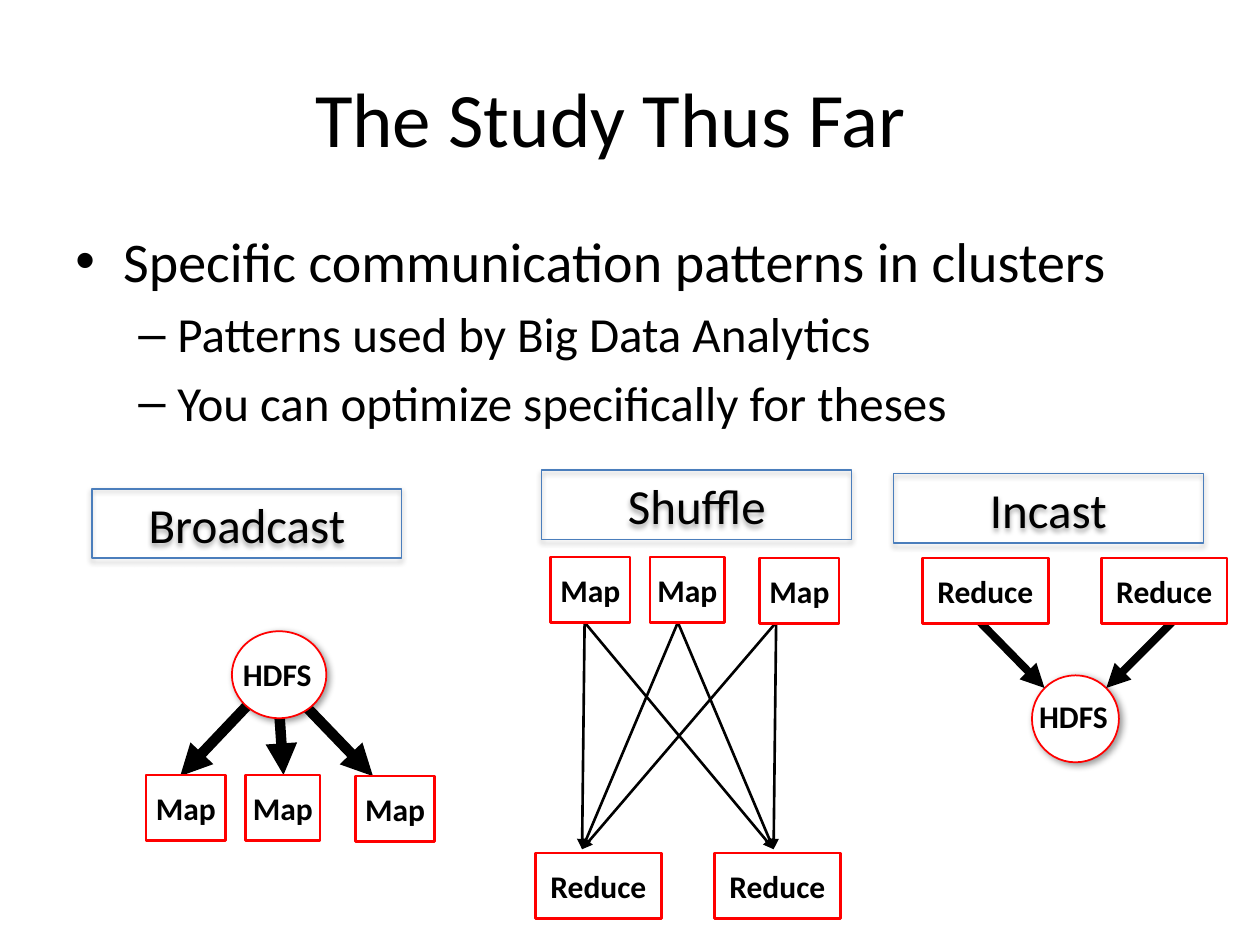
from lxml.etree import SubElement
from pptx import Presentation
from pptx.dml.color import RGBColor
from pptx.enum.shapes import MSO_CONNECTOR, MSO_SHAPE
from pptx.enum.text import MSO_ANCHOR, PP_ALIGN
from pptx.oxml.ns import qn
from pptx.util import Inches, Pt

BLACK, WHITE, RED, BLUE = "000000", "FFFFFF", "FF0000", "4B7EBC"
NODE = {"size": Pt(18), "bold": True}
HEAD = {"size": Pt(28), "bold": False}
FRAME = {"word_wrap": True, "vertical_anchor": MSO_ANCHOR.MIDDLE}
TIGHT = {**FRAME, "margin_left": 0, "margin_right": 0,
         "margin_top": 0, "margin_bottom": 0}
LOOSE = {"word_wrap": False}
SOFT = {"blur": 4, "dist": 2, "angle": 45, "alpha": 40}
DROP = {"blur": 3.1, "dist": 1.8, "angle": 90, "alpha": 35}


def shade(value):
    """Turn a hex string into a colour."""
    return RGBColor.from_string(value)


def apply(target, values):
    """Set each attribute in a dict of format values."""
    for name, value in values.items():
        setattr(target, name, value)


def write(para, text, style):
    """Put black Calibri text in a paragraph."""
    para.text = text
    apply(para.font, {"name": "Calibri", **style})
    para.font.color.rgb = shade(BLACK)


def center(shape, text, style, frame):
    """Fill a shape with one centred line of text."""
    apply(shape.text_frame, frame)
    para = shape.text_frame.paragraphs[0]
    para.alignment = PP_ALIGN.CENTER
    write(para, text, style)


def cast(shape, blur, dist, angle, alpha):
    """Give a shape an outer shadow."""
    effects = shape._element.spPr.find(qn("a:effectLst"))
    outer = SubElement(effects, qn("a:outerShdw"), blurRad=str(Pt(blur)),
                       dist=str(Pt(dist)), dir=str(angle * 60000), rotWithShape="0")
    color = SubElement(outer, qn("a:srgbClr"), val=BLACK)
    SubElement(color, qn("a:alpha"), val=str(alpha * 1000))


def draw(slide, kind, box, fill, line, width):
    """Add an outlined shape, filled if a fill is given."""
    shape = slide.shapes.add_shape(kind, *map(Inches, box))
    shape.shadow.inherit = False
    if fill:
        shape.fill.solid()
        shape.fill.fore_color.rgb = shade(fill)
    else:
        shape.fill.background()
    shape.line.color.rgb = shade(line)
    shape.line.width = Pt(width)
    return shape


def arrow(slide, start, end, width):
    """Add a black line with a triangle at its end."""
    line = slide.shapes.add_connector(
        MSO_CONNECTOR.STRAIGHT, *map(Inches, (*start, *end)))
    line.line.color.rgb = shade(BLACK)
    line.line.width = Pt(width)
    props = line._element.spPr
    SubElement(props.find(qn("a:ln")), qn("a:tailEnd"), type="triangle")
    SubElement(props, qn("a:effectLst"))


def label(slide, left, top, text):
    """Add the heading of one pattern."""
    shape = draw(slide, MSO_SHAPE.RECTANGLE, (left, top, 2.46, 0.55), None, BLUE, 0.75)
    cast(shape, **DROP)
    center(shape, text, HEAD, FRAME)


def node(slide, left, top, width, text):
    """Add a red task box."""
    box = (left, top, width, 0.52)
    shape = draw(slide, MSO_SHAPE.RECTANGLE, box, WHITE, RED, 1.5)
    center(shape, text, NODE, TIGHT)


def maps(slide, left, top):
    """Add a row of three map tasks."""
    for across, down, width in ((0, 0, 0.63), (0.79, 0, 0.59), (1.66, 0.01, 0.63)):
        node(slide, left + across, top + down, width, "Map")


def reduces(slide, left, top):
    """Add a row of two reduce tasks."""
    for col in range(2):
        node(slide, left + col * 1.42, top, 1, "Reduce")


def hub(slide, left, top, width, shift, drop):
    """Add the storage circle and its name."""
    box = (left, top, width, 0.69)
    cast(draw(slide, MSO_SHAPE.OVAL, box, WHITE, RED, 1), **SOFT)
    name = slide.shapes.add_textbox(
        *map(Inches, (left + shift, top + drop, 0.76, 0.4)))
    center(name, "HDFS", NODE, LOOSE)


def title(slide, left, top, width, height):
    """Place and format the title."""
    shape = slide.shapes.title
    apply(shape, {"left": Inches(left), "top": Inches(top),
                  "width": Inches(width), "height": Inches(height)})
    center(shape, "The Study Thus Far\t", {"size": Pt(44)}, FRAME)


def body(slide, left, top, width, height):
    """Place the bulleted text."""
    frame = slide.shapes.add_textbox(
        *map(Inches, (left, top, width, height))).text_frame
    frame.word_wrap = True
    rows = ((0, "Specific communication patterns in clusters"),
            (1, "Patterns used by Big Data Analytics"),
            (1, "You can optimize specifically for theses"))
    looks = ((0.38, 0.38, "•", 32), (0.81, 0.31, "–", 28))
    for index, (level, text) in enumerate(rows):
        para = frame.add_paragraph() if index else frame.paragraphs[0]
        margin, hang, mark, size = looks[level]
        props = para._p.get_or_add_pPr()
        props.set("marL", str(Inches(margin)))
        props.set("indent", str(Inches(-hang)))
        SubElement(props, qn("a:buFont"), typeface="Arial")
        SubElement(props, qn("a:buChar"), char=mark)
        para.level = level
        para.space_before = Pt(size * 0.2 if index else 0)
        write(para, text, {"size": Pt(size)})


def broadcast(slide, left, top):
    """Draw storage sending to three map tasks."""
    label(slide, left, top, "Broadcast")
    for start, end in (((1.46, 1.48), (0.7, 2.28)),
                       ((1.49, 1.82), (1.52, 2.27)),
                       ((1.46, 1.48), (2.23, 2.28))):
        arrow(slide, (left + start[0], top + start[1]),
              (left + end[0], top + end[1]), 6)
    hub(slide, left + 1.11, top + 1.13, 0.75, -0.02, 0.14)
    maps(slide, left + 0.43, top + 2.27)


def shuffle(slide, left, top):
    """Draw every map task sending to every reduce task."""
    label(slide, left + 0.05, top, "Shuffle")
    for start in (0.39, 1.13, 1.91):
        for end in (0.37, 1.89):
            arrow(slide, (left + start, top + 1.21), (left + end, top + 3.01), 1.5)
    maps(slide, left + 0.12, top + 0.69)
    reduces(slide, left, top + 3.04)


def incast(slide, left, top):
    """Draw two reduce tasks sending to storage."""
    label(slide, left, top, "Incast")
    hub(slide, left + 1.1, top + 1.6, 0.69, -0.05, 0.12)
    for start, end in ((0.69, 1.2), (2.21, 1.69)):
        arrow(slide, (left + start, top + 1.18), (left + end, top + 1.7), 4.5)
    reduces(slide, left + 0.23, top + 0.67)


def main():
    """Build and save the slide."""
    deck = Presentation()
    apply(deck, {"slide_width": Inches(10), "slide_height": Inches(7.5)})
    slide = deck.slides.add_slide(deck.slide_layouts[5])
    title(slide, 0.5, 0.3, 9, 1.25)
    body(slide, 0.5, 1.75, 9, 4.95)
    broadcast(slide, 0.73, 3.88)
    shuffle(slide, 4.25, 3.73)
    incast(slide, 7.09, 3.76)
    deck.save("out.pptx")


if __name__ == "__main__":
    main()
